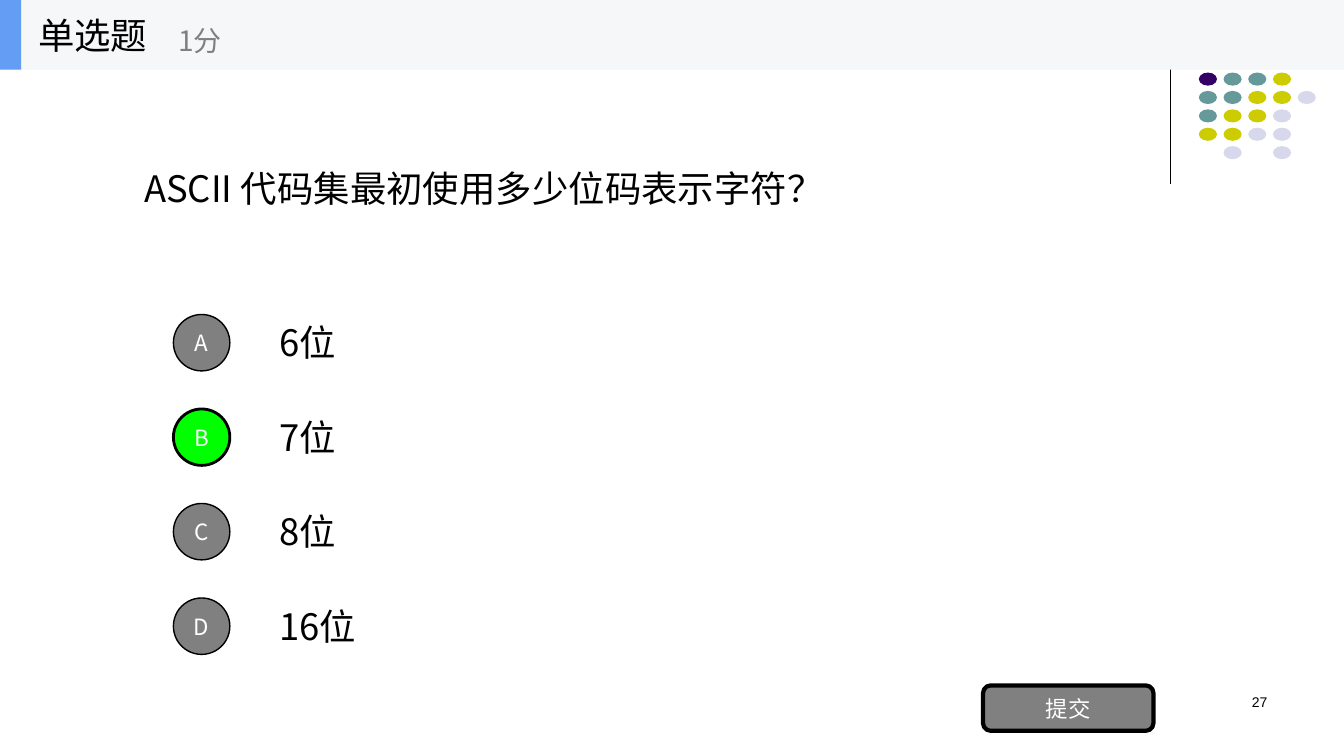
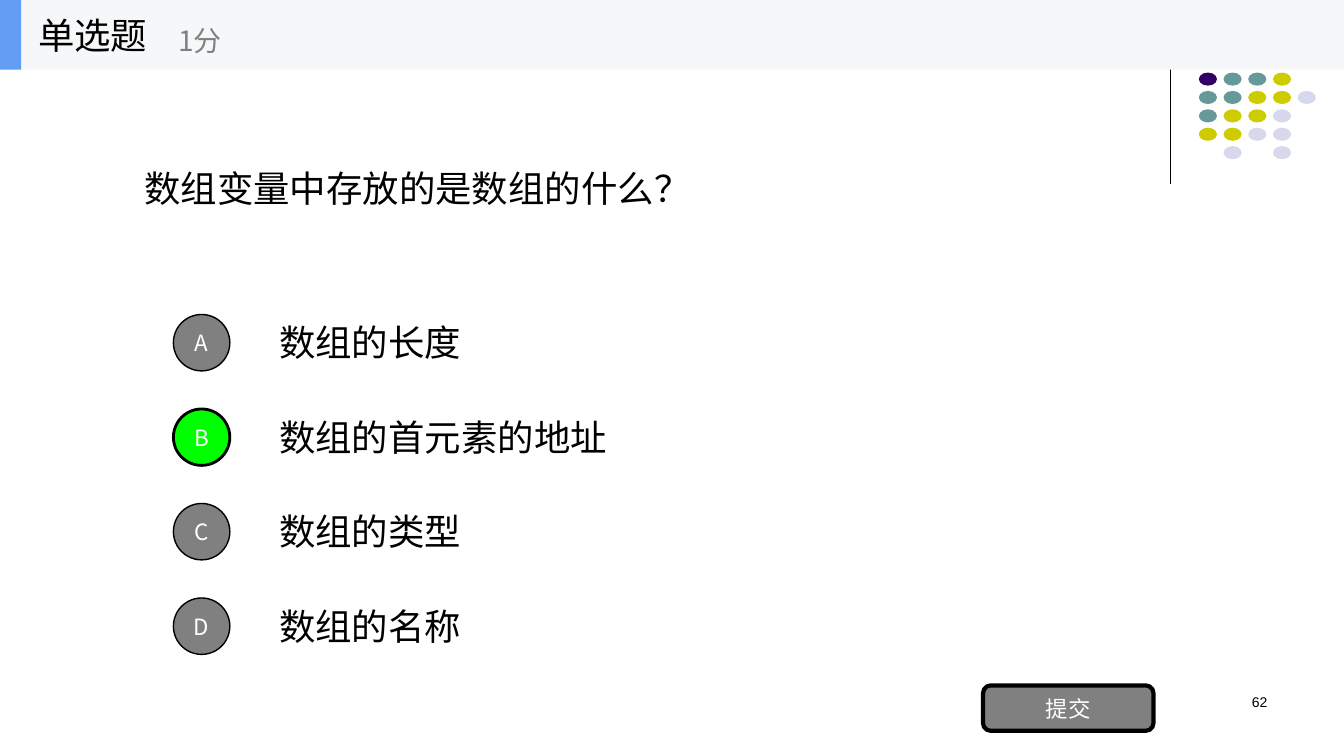
"""Build two single-choice quiz slides with a shared header, dot pattern and submit button."""
import pptx
import pptx.util
import pptx.dml.color
import pptx.enum.lang
import pptx.enum.shapes
import pptx.enum.text
import pptx.oxml.ns
import lxml.etree

Inches = pptx.util.Inches
MSO_SHAPE = pptx.enum.shapes.MSO_SHAPE
ALIGN = pptx.enum.text.PP_ALIGN
ANCHOR = pptx.enum.text.MSO_ANCHOR
RGB = pptx.dml.color.RGBColor.from_string

CJK = "Noto Sans CJK SC"
COLORS = {
    "black": "000000", "white": "FFFFFF", "gray": "808080", "correct": "00FF00",
    "band": "F6F7F8", "accent": "639EF4",
    "P": "330066", "T": "669999", "Y": "CCCC00", "L": "D8D8EC",
}
DOT_ROWS = ["PTTY", "TTYYL", "TYYL", "YYLL", " L L"]
QUESTIONS = [
    {"number": "27", "width": 7.11, "text": "ASCII 代码集最初使用多少位码表示字符？",
     "options": ["6位", "7位", "8位", "16位"], "answer": "B"},
    {"number": "62", "width": 5.72, "text": "数组变量中存放的是数组的什么？",
     "options": ["数组的长度", "数组的首元素的地址", "数组的类型", "数组的名称"], "answer": "B"},
]


def set_text(sp, text, size, color="black", font=CJK, align=ALIGN.LEFT, anchor=ANCHOR.MIDDLE):
    tf = sp.text_frame
    tf.text = text
    tf.word_wrap = True
    tf.auto_size = pptx.enum.text.MSO_AUTO_SIZE.NONE
    tf.vertical_anchor = anchor
    p = tf.paragraphs[0]
    p.alignment = align
    r = p.runs[0]
    r.font.size = pptx.util.Pt(size)
    r.font.color.rgb = RGB(COLORS[color])
    r.font.name = font
    r.font.language_id = pptx.enum.lang.MSO_LANGUAGE_ID.SIMPLIFIED_CHINESE
    ea = lxml.etree.SubElement(r.font._element, pptx.oxml.ns.qn("a:ea"))
    ea.set("typeface", font)


def add_shape(s, kind, left, top, width, height, fill, line=0):
    sp = s.shapes.add_shape(kind, Inches(left), Inches(top), Inches(width), Inches(height))
    sp.shadow.inherit = False
    sp.fill.solid()
    sp.fill.fore_color.rgb = RGB(COLORS[fill])
    if line:
        sp.line.color.rgb = RGB(COLORS["black"])
        sp.line.width = pptx.util.Pt(line)
    else:
        sp.line.fill.background()
    return sp


prs = pptx.Presentation()
prs.slide_width = Inches(13.33)
prs.slide_height = Inches(7.5)

for question in QUESTIONS:
    s = prs.slides.add_slide(prs.slide_layouts[5])

    title = s.shapes.title
    title.left, title.top = Inches(1.33), Inches(1.6)
    title.width, title.height = Inches(question["width"]), Inches(0.53)
    set_text(title, question["text"], 26)

    rule = s.shapes.add_connector(pptx.enum.shapes.MSO_CONNECTOR.STRAIGHT,
                                  Inches(11.61), Inches(0.17), Inches(11.61), Inches(1.83))
    rule.line.color.rgb = RGB(COLORS["black"])
    rule.line.width = pptx.util.Pt(0.75)
    lxml.etree.SubElement(rule._element.spPr, pptx.oxml.ns.qn("a:effectLst"))

    for row, dots in enumerate(DOT_ROWS):
        for col, dot in enumerate(dots):
            if dot != " ":
                add_shape(s, MSO_SHAPE.OVAL, 11.89 + 0.245 * col, 0.72 + 0.1825 * row,
                          0.18, 0.13, dot)

    number = s.shapes.add_textbox(Inches(9.56), Inches(6.83), Inches(3.11), Inches(0.5))
    set_text(number, question["number"], 10, font="Arial", align=ALIGN.RIGHT, anchor=ANCHOR.TOP)

    for i, (letter, option) in enumerate(zip("ABCD", question["options"])):
        top = 3.12 + 0.9375 * i
        answer = s.shapes.add_textbox(Inches(2.67), Inches(top + 0.01), Inches(3.56), Inches(0.53))
        set_text(answer, option, 26)
        correct = letter == question["answer"]
        badge = add_shape(s, MSO_SHAPE.OVAL, 1.72, top, 0.56, 0.56,
                          "correct" if correct else "gray", 2 if correct else 1)
        set_text(badge, letter, 16, "white", align=ALIGN.CENTER)
        badge.text_frame.margin_left = badge.text_frame.margin_right = 0

    submit = add_shape(s, MSO_SHAPE.ROUNDED_RECTANGLE, 9.75, 6.8, 1.69, 0.45, "gray", 3)
    set_text(submit, "提交", 16, "white", align=ALIGN.CENTER)

    add_shape(s, MSO_SHAPE.RECTANGLE, 0, 0, 13.33, 0.69, "band")
    add_shape(s, MSO_SHAPE.RECTANGLE, 0, 0, 0.21, 0.69, "accent")
    header = s.shapes.add_textbox(Inches(0.28), 0, Inches(2.08), Inches(0.69))
    set_text(header, "单选题", 26)
    points = s.shapes.add_textbox(Inches(1.67), Inches(0.12), Inches(2.5), Inches(0.56))
    set_text(points, "1分", 20, "gray")

prs.save("out.pptx")
